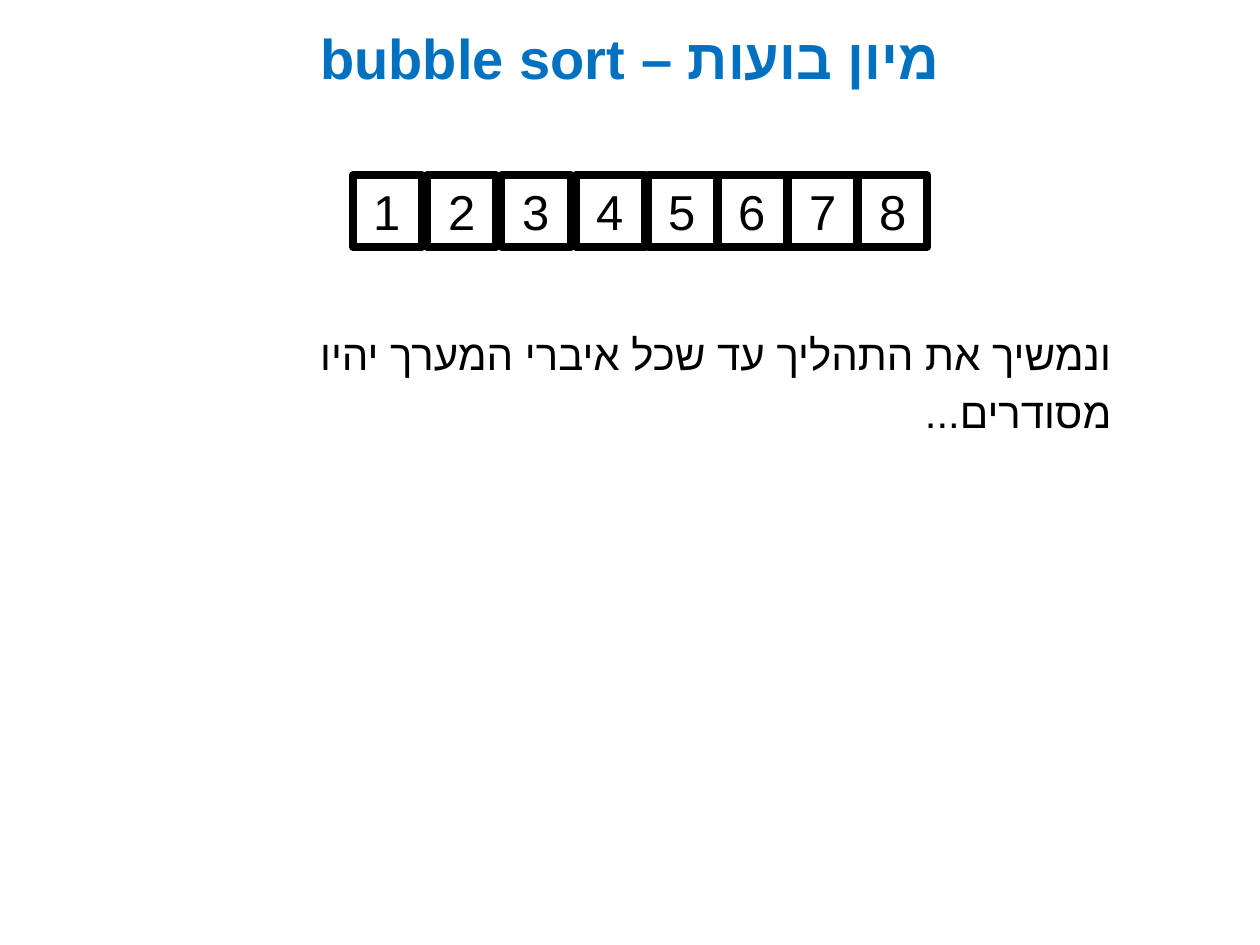
from dataclasses import dataclass

from pptx import Presentation
from pptx.dml.color import RGBColor
from pptx.enum.shapes import MSO_SHAPE
from pptx.enum.text import MSO_ANCHOR, MSO_AUTO_SIZE, PP_ALIGN
from pptx.oxml.ns import qn
from pptx.shapes.autoshape import Shape
from pptx.slide import Slide
from pptx.util import Inches, Pt

SLIDE_WIDTH = Inches(10)
SLIDE_HEIGHT = Inches(7.5)
BLACK = RGBColor(0x00, 0x00, 0x00)
BLUE = RGBColor(0x00, 0x70, 0xC0)
HEBREW_FONT = "Arial"
CELL_TOP = 1.39 / 7.5
CELL_WIDTH = 0.055
CELL_HEIGHT = 0.57 / 7.5


@dataclass(frozen=True)
class Box:
    left: float
    top: float
    width: float
    height: float

    def place(self) -> tuple[int, int, int, int]:
        return (
            int(self.left * SLIDE_WIDTH),
            int(self.top * SLIDE_HEIGHT),
            int(self.width * SLIDE_WIDTH),
            int(self.height * SLIDE_HEIGHT),
        )


@dataclass(frozen=True)
class TextStyle:
    size: int
    font: str = "Calibri"
    color: RGBColor = BLACK
    bold: bool = False
    alignment: PP_ALIGN = PP_ALIGN.CENTER


@dataclass(frozen=True)
class CellGroup:
    left: float
    pitch: float
    values: tuple[int, ...]


TITLE_STYLE = TextStyle(32, "Arial", BLUE, True)
BODY_STYLE = TextStyle(24, alignment=PP_ALIGN.RIGHT)
CELL_STYLE = TextStyle(28)
CELL_GROUPS = (
    CellGroup(0.28, 0.059, (1, 2, 3, 4)),
    CellGroup(0.514, 0.0557, (5, 6, 7, 8)),
)


def write_text(shape: Shape, text: str, style: TextStyle) -> None:
    paragraph = shape.text_frame.paragraphs[0]
    paragraph.text = text
    paragraph.alignment = style.alignment
    paragraph.font.size = Pt(style.size)
    paragraph.font.name = style.font
    paragraph.font.bold = style.bold
    paragraph.font.color.rgb = style.color
    properties = paragraph._p.get_or_add_pPr()
    properties.set("rtl", "1")
    character_properties = properties.find(qn("a:defRPr"))
    complex_font = character_properties.makeelement(qn("a:cs"), {"typeface": HEBREW_FONT})
    character_properties.append(complex_font)


def add_title(slide: Slide) -> None:
    shape = slide.shapes.add_textbox(*Box(0, 0.05 / 7.5, 1, 0.81 / 7.5).place())
    shape.text_frame.word_wrap = True
    shape.text_frame.vertical_anchor = MSO_ANCHOR.MIDDLE
    write_text(shape, "מיון בועות – bubble sort", TITLE_STYLE)


def add_explanation(slide: Slide) -> None:
    shape = slide.shapes.add_textbox(*Box(0.108, 2.5 / 7.5, 0.784, 0.53 / 7.5).place())
    shape.text_frame.word_wrap = False
    shape.text_frame.auto_size = MSO_AUTO_SIZE.SHAPE_TO_FIT_TEXT
    write_text(shape, "ונמשיך את התהליך עד שכל איברי המערך יהיו מסודרים...", BODY_STYLE)
    paragraph = shape.text_frame.paragraphs[0]
    paragraph.line_spacing = 1.15
    paragraph.space_after = Pt(10)


def add_cell(slide: Slide, left: float, value: int) -> None:
    box = Box(left, CELL_TOP, CELL_WIDTH, CELL_HEIGHT)
    shape = slide.shapes.add_shape(MSO_SHAPE.RECTANGLE, *box.place())
    shape.shadow.inherit = False
    shape.fill.background()
    shape.line.color.rgb = BLACK
    shape.line.width = Pt(4.5)
    shape.text_frame.word_wrap = True
    shape.text_frame.auto_size = MSO_AUTO_SIZE.SHAPE_TO_FIT_TEXT
    shape.text_frame.vertical_anchor = MSO_ANCHOR.TOP
    write_text(shape, str(value), CELL_STYLE)


def main() -> None:
    presentation = Presentation()
    presentation.slide_width = SLIDE_WIDTH
    presentation.slide_height = SLIDE_HEIGHT
    slide = presentation.slides.add_slide(presentation.slide_layouts[6])
    add_title(slide)
    add_explanation(slide)
    for group in CELL_GROUPS:
        for column, value in enumerate(group.values):
            add_cell(slide, group.left + column * group.pitch, value)
    presentation.save("out.pptx")


if __name__ == "__main__":
    main()
